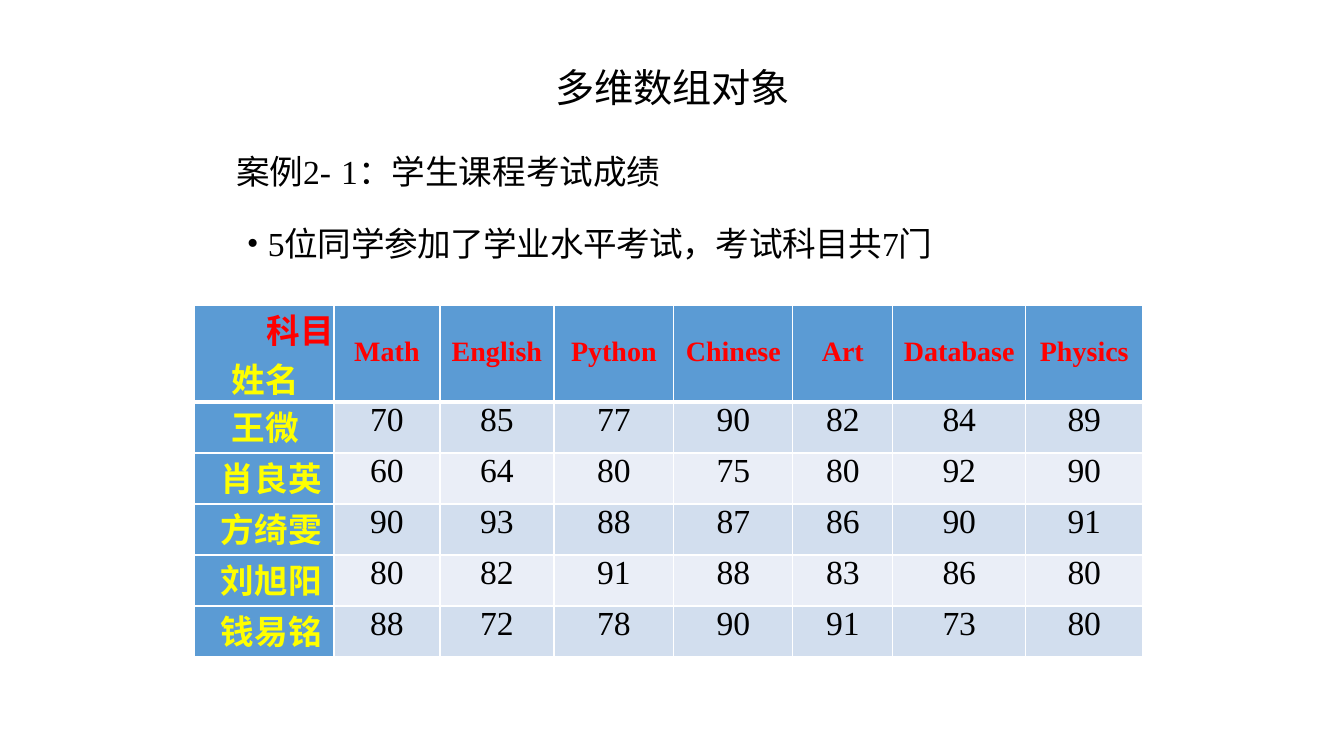
import pptx
import pptx.dml.color
import pptx.enum.text
import pptx.oxml.ns
import pptx.util
from lxml import etree

SCALE = 914400 / 100.8
LATIN, CJK = "Times New Roman", "Noto Sans CJK SC"
BLACK, WHITE, RED, YELLOW = "000000", "FFFFFF", "FF0000", "FFFF00"
HEAD_FILL, BAND_FILLS = "5B9BD4", ("D2DEEE", "EAEEF7")
ALIGN = pptx.enum.text.PP_ALIGN
ANCHOR = pptx.enum.text.MSO_ANCHOR

SUBJECTS = ["Math", "English", "Python", "Chinese", "Art", "Database", "Physics"]
SCORES = {
    "王微": [70, 85, 77, 90, 82, 84, 89],
    "肖良英": [60, 64, 80, 75, 80, 92, 90],
    "方绮雯": [90, 93, 88, 87, 86, 90, 91],
    "刘旭阳": [80, 82, 91, 88, 83, 86, 80],
    "钱易铭": [88, 72, 78, 90, 91, 73, 80],
}
COL_WIDTHS = [140, 106, 114, 120, 119, 100, 133, 117]
HEAD_HEIGHT, ROW_HEIGHT = 97, 51


def px(n):
    return pptx.util.Emu(round(n * SCALE))


def rgb(color):
    return pptx.dml.color.RGBColor.from_string(color)


def sub(parent, tag, **attrs):
    return etree.SubElement(parent, pptx.oxml.ns.qn(tag), attrs)


def write(p, runs, size=24, color=BLACK, bold=False, align=ALIGN.LEFT, left=0, font=LATIN):
    """Fill a paragraph from (text, letter spacing in 1/100 pt) pairs."""
    p.alignment = align
    p._p.get_or_add_pPr().set("marL", str(px(left)))
    for text, spacing in runs:
        r = p.add_run()
        r.text = text
        r.font.size = pptx.util.Pt(size)
        r.font.bold = bold
        r.font.color.rgb = rgb(color)
        r.font.name = font
        rPr = r._r.get_or_add_rPr()
        rPr.set("spc", str(spacing))
        sub(rPr, "a:ea", typeface=CJK)


def add_line(slide, box, runs, **style):
    tf = slide.shapes.add_textbox(*map(px, box)).text_frame
    tf.word_wrap = True
    tf.margin_left = tf.margin_top = tf.margin_right = tf.margin_bottom = 0
    p = tf.paragraphs[0]
    p.line_spacing = 0.9
    write(p, runs, **style)
    return p


def add_bullet(p, hanging):
    pPr = p._p.get_or_add_pPr()
    pPr.set("indent", str(-px(hanging)))
    sub(pPr, "a:buFont", typeface=LATIN)
    sub(pPr, "a:buChar", char="•")


def style_cell(cell, fill, **border_widths):
    cell.margin_left = cell.margin_top = cell.margin_right = cell.margin_bottom = 0
    tcPr = cell._tc.get_or_add_tcPr()
    for side in "LRTB":
        width = pptx.util.Pt(border_widths.get(side, 1))
        ln = sub(tcPr, "a:ln" + side, w=str(width))
        sub(sub(ln, "a:solidFill"), "a:srgbClr", val=WHITE)
    cell.fill.solid()
    cell.fill.fore_color.rgb = rgb(fill)


def fill_header(table):
    corner = table.cell(0, 0)
    style_cell(corner, HEAD_FILL, B=3)
    tf = corner.text_frame
    write(tf.paragraphs[0], [("科目", 0)], color=RED, bold=True, align=ALIGN.RIGHT)
    write(tf.add_paragraph(), [("姓名", 0)], color=YELLOW, bold=True, left=38)
    for col, subject in enumerate(SUBJECTS, 1):
        cell = table.cell(0, col)
        style_cell(cell, HEAD_FILL, B=3)
        cell.vertical_anchor = ANCHOR.MIDDLE
        cell.margin_bottom = px(4)
        write(cell.text_frame.paragraphs[0], [(subject, 0)], size=20, color=RED,
              bold=True, align=ALIGN.CENTER)


def add_score_table(slide, left, top):
    height = HEAD_HEIGHT + ROW_HEIGHT * len(SCORES)
    table = slide.shapes.add_table(len(SCORES) + 1, len(COL_WIDTHS), px(left), px(top),
                                   px(sum(COL_WIDTHS)), px(height)).table
    table.first_row = table.horz_banding = False
    for column, width in zip(table.columns, COL_WIDTHS):
        column.width = px(width)
    for i, row in enumerate(table.rows):
        row.height = px(ROW_HEIGHT if i else HEAD_HEIGHT)
    fill_header(table)
    for i, (name, scores) in enumerate(SCORES.items(), 1):
        top_border = 3 if i == 1 else 1
        cell = table.cell(i, 0)
        style_cell(cell, HEAD_FILL, T=top_border)
        write(cell.text_frame.paragraphs[0], [(name, 0)], color=YELLOW, bold=True,
              left=38 if len(name) == 2 else 27)
        for col, score in enumerate(scores, 1):
            cell = table.cell(i, col)
            style_cell(cell, BAND_FILLS[(i - 1) % 2], T=top_border)
            write(cell.text_frame.paragraphs[0], [(str(score), -10)], align=ALIGN.CENTER)


def main():
    prs = pptx.Presentation()
    prs.slide_width, prs.slide_height = px(1344), px(756)
    slide = prs.slides.add_slide(prs.slide_layouts[6])
    add_line(slide, (246, 69, 852, 77), [("多维数组对象", -10)],
             size=28, align=ALIGN.CENTER, left=1, font=CJK)
    add_line(slide, (235, 155, 775, 46),
             [("案例", -10), ("2", -200), ("-", 730), ("1", -200), ("：学生课程考试成绩", 0)],
             left=1)
    p = add_line(slide, (246, 227, 813, 49),
                 [("5", -90), ("位同学参加了学业水平考试，考试科目共", -30), ("7", -90), ("门", -30)],
                 left=22)
    add_bullet(p, 21)
    add_score_table(slide, 194, 305)
    prs.save("out.pptx")


if __name__ == "__main__":
    main()
